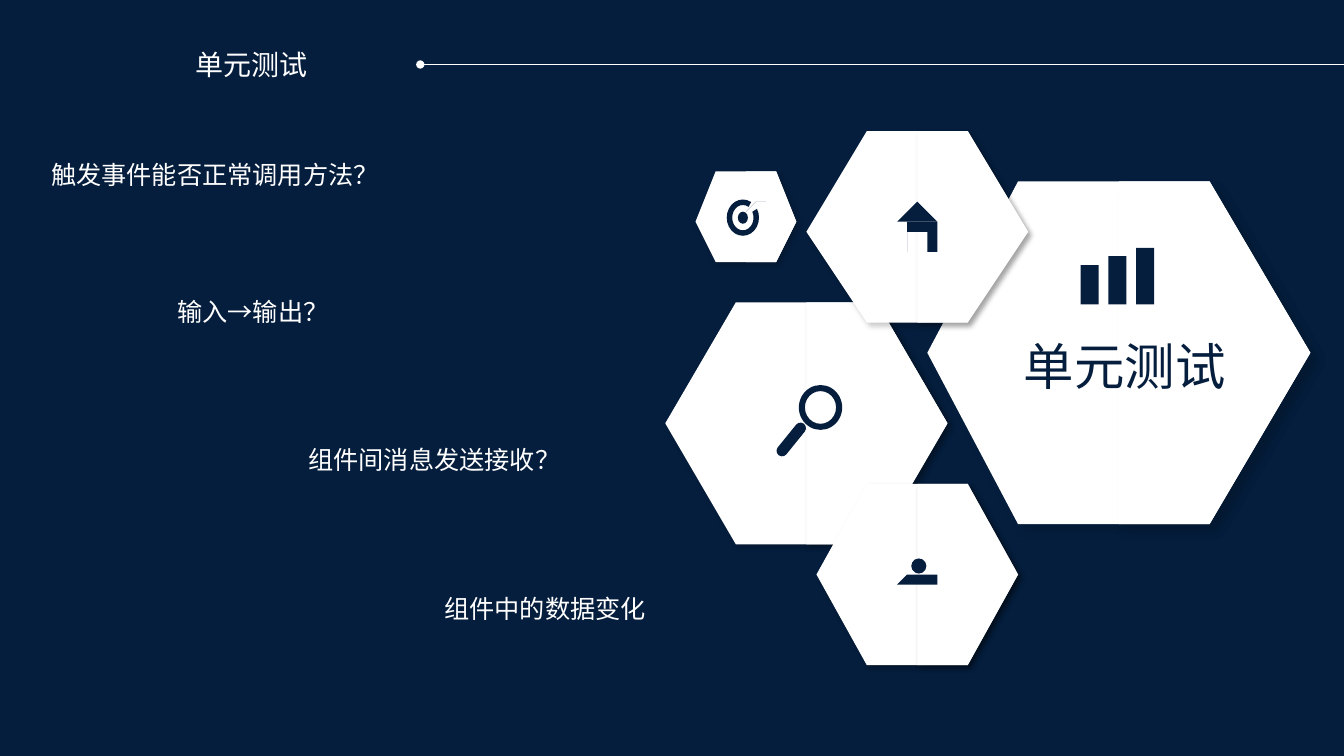
from lxml.etree import SubElement
from pptx import Presentation
from pptx.dml.color import RGBColor
from pptx.enum.shapes import MSO_CONNECTOR, MSO_SHAPE
from pptx.enum.text import MSO_ANCHOR, MSO_AUTO_SIZE, PP_ALIGN
from pptx.oxml.ns import qn
from pptx.util import Emu, Pt

COLORS = {"navy": "051E3D", "white": "FFFFFF", "shade": "000000"}
FONT = "Noto Sans CJK SC"
CELL = 91440
COLS, ROWS = 133.33, 75

HEXES = [
    (66.5, 30.3, 27.4, 23.7, (20, 4, 3)),
    (91.7, 18.4, 38.3, 33.1, (10, 7, 7)),
    (80.2, 13.3, 21.6, 18.7, (20, 4, 3)),
    (81.3, 48.4, 19.7, 17.1, (30, 4, 3)),
    (68.6, 17.1, 10.7, 9.3, (20, 4, 3)),
]
CHECKS = [
    ("触发事件能否正常调用方法？", 4.1, 15.3, 34.3),
    ("输入→输出？", 16.6, 28.9, 34.2),
    ("组件间消息发送接收？", 29.6, 43.6, 33.2),
    ("组件中的数据变化", 43.1, 58.4, 33.2),
]
WALLS = [
    (89.5, 22.2), (89.5, 24.6), (90.5, 24.6), (90.5, 22.9),
    (91.6, 22.9), (91.6, 24.6), (92.7, 24.6), (92.7, 22.2),
]
ROOF = [(91.1, 20.3), (88.7, 22.3), (93.4, 22.3)]
BODY = [
    (92.4, 56.7), (92.1, 56.7), (91.8, 57.0), (91.5, 57.2), (91.1, 57.3),
    (90.7, 57.2), (90.4, 57.0), (90.2, 56.7), (89.8, 56.7), (89.5, 57.0),
    (89.3, 57.6), (89.3, 58.5), (92.9, 58.5), (92.9, 57.6), (92.8, 57.0),
]
DART = [
    (75.2, 20), (75.2, 19.5), (74.9, 19.8), (74.9, 20.1), (74, 21.1),
    (74.2, 21.3), (75.1, 20.3), (75.4, 20.3), (75.7, 20),
]


def grid(*cells):
    """Turn grid cells into slide lengths."""
    return [Emu(round(cell * CELL)) for cell in cells]


def tint(name):
    """Return a named colour."""
    return RGBColor.from_string(COLORS[name])


def paint(shape, name):
    """Fill a shape flat, with no line and no shadow."""
    shape.shadow.inherit = False
    shape.fill.solid()
    shape.fill.fore_color.rgb = tint(name)
    shape.line.fill.background()
    return shape


def block(shapes, kind, box, *adjusts):
    """Add a navy preset shape."""
    shape = paint(shapes.add_shape(kind, *grid(*box)), "navy")
    for spot, value in enumerate(adjusts):
        shape.adjustments[spot] = value
    return shape


def outline(shapes, points, name="navy"):
    """Add a closed shape through the points."""
    pen = shapes.build_freeform(*points[0], scale=CELL)
    pen.add_line_segments(points[1:], close=True)
    return paint(pen.convert_to_shape(), name)


def shade(shape, alpha, blur, gap):
    """Give a shape a soft shadow to the lower right."""
    list_ = shape._element.spPr.find(qn("a:effectLst"))
    outer = SubElement(list_, qn("a:outerShdw"), blurRad=str(Pt(blur)),
                       dist=str(Pt(gap)), dir="2700000", algn="tl",
                       rotWithShape="0")
    color = SubElement(outer, qn("a:srgbClr"), val=COLORS["shade"])
    SubElement(color, qn("a:alpha"), val=str(alpha * 1000))


def hexes(shapes):
    """Add each hexagon with its right half on top."""
    for left, top, wide, high, soft in HEXES:
        near, mid, far, end = [left + wide * part
                               for part in (0.25, 0.5, 0.75, 1)]
        base, waist = top + high, top + high / 2
        right = [(far, base), (end, waist), (far, top)]
        full = [(near, base), (left, waist), (near, top)] + right[::-1]
        shade(outline(shapes, full, "white"), *soft)
        half = outline(shapes, [(mid, top), (mid, base)] + right, "white")
        if (left, top) != HEXES[-1][:2]:
            shade(half, *soft)


def icons(shapes):
    """Add the chart, house, lens, person and target icons."""
    bars = shapes.add_group_shape().shapes
    for spot, high in enumerate((3.9, 4.8, 5.6)):
        block(bars, MSO_SHAPE.RECTANGLE,
              (107.2 + 2.75 * spot, 30.2 - high, 1.8, high))
    outline(shapes, WALLS)
    outline(shapes, ROOF)
    block(shapes, MSO_SHAPE.DONUT, (79.25, 38.2, 4.3, 4.45), 0.14)
    grip = block(shapes, MSO_SHAPE.ROUNDED_RECTANGLE,
                 (77.95, 41.6, 1.1, 4), 0.5)
    grip.rotation = 39
    block(shapes, MSO_SHAPE.OVAL, (90.4, 55.4, 1.5, 1.5))
    outline(shapes, BODY)
    block(shapes, MSO_SHAPE.BLOCK_ARC, (72.1, 19.8, 3.2, 3.6),
          328 * 0.6, 298 * 0.6, 0.17)
    block(shapes, MSO_SHAPE.OVAL, (73.2, 21, 1, 1.2))
    outline(shapes, DART)


def write(shape, text, size, name):
    """Set and format the text of a box."""
    frame = shape.text_frame
    frame.text = text
    frame.word_wrap = True
    frame.auto_size = MSO_AUTO_SIZE.SHAPE_TO_FIT_TEXT
    frame.vertical_anchor = MSO_ANCHOR.TOP
    para = frame.paragraphs[0]
    para.alignment = PP_ALIGN.LEFT
    para.line_spacing = 1.0
    para.space_before = Pt(0)
    para.font.size = Pt(size)
    para.font.name = FONT
    para.font.color.rgb = tint(name)
    props = para._p.pPr.find(qn("a:defRPr"))
    SubElement(props, qn("a:ea"), typeface=FONT)


def label(shapes, text, box, size, name):
    """Add a text box."""
    write(shapes.add_textbox(*grid(*box)), text, size, name)


def head(shapes):
    """Place the title and the rule beside it."""
    title = shapes.title
    title.left, title.top, title.width, title.height = grid(18.4, 4.2, 19, 4.4)
    write(title, "单元测试", 20, "white")
    rule = shapes.add_connector(MSO_CONNECTOR.STRAIGHT,
                                *grid(41.7, 6.4, COLS, 6.4))
    rule.line.color.rgb = tint("white")
    rule.line.width = Pt(0.5)
    SubElement(rule.line._get_or_add_ln(), qn("a:headEnd"), type="oval")
    SubElement(rule._element.spPr, qn("a:effectLst"))


def main():
    """Build the slide and save it."""
    deck = Presentation()
    deck.slide_width, deck.slide_height = grid(COLS, ROWS)
    slide = deck.slides.add_slide(deck.slide_layouts[5])
    slide.background.fill.solid()
    slide.background.fill.fore_color.rgb = tint("navy")
    shapes = slide.shapes
    hexes(shapes)
    icons(shapes)
    label(shapes, "单元测试", (100.6, 32.8, 23.1, 7.1), 36, "navy")
    for text, left, top, wide in CHECKS:
        label(shapes, text, (left, top, wide, 4), 18, "white")
    head(shapes)
    deck.save("out.pptx")


if __name__ == "__main__":
    main()
